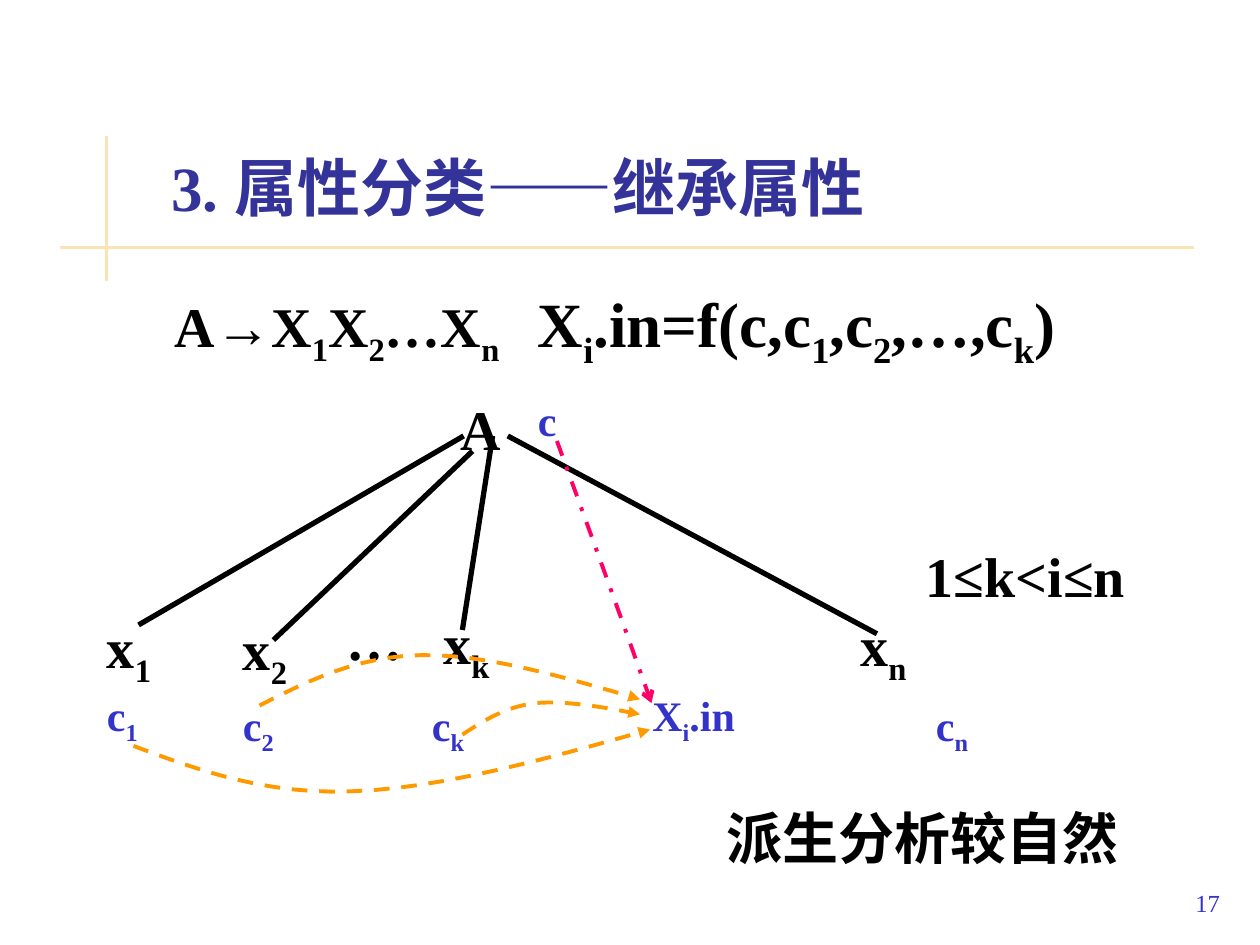
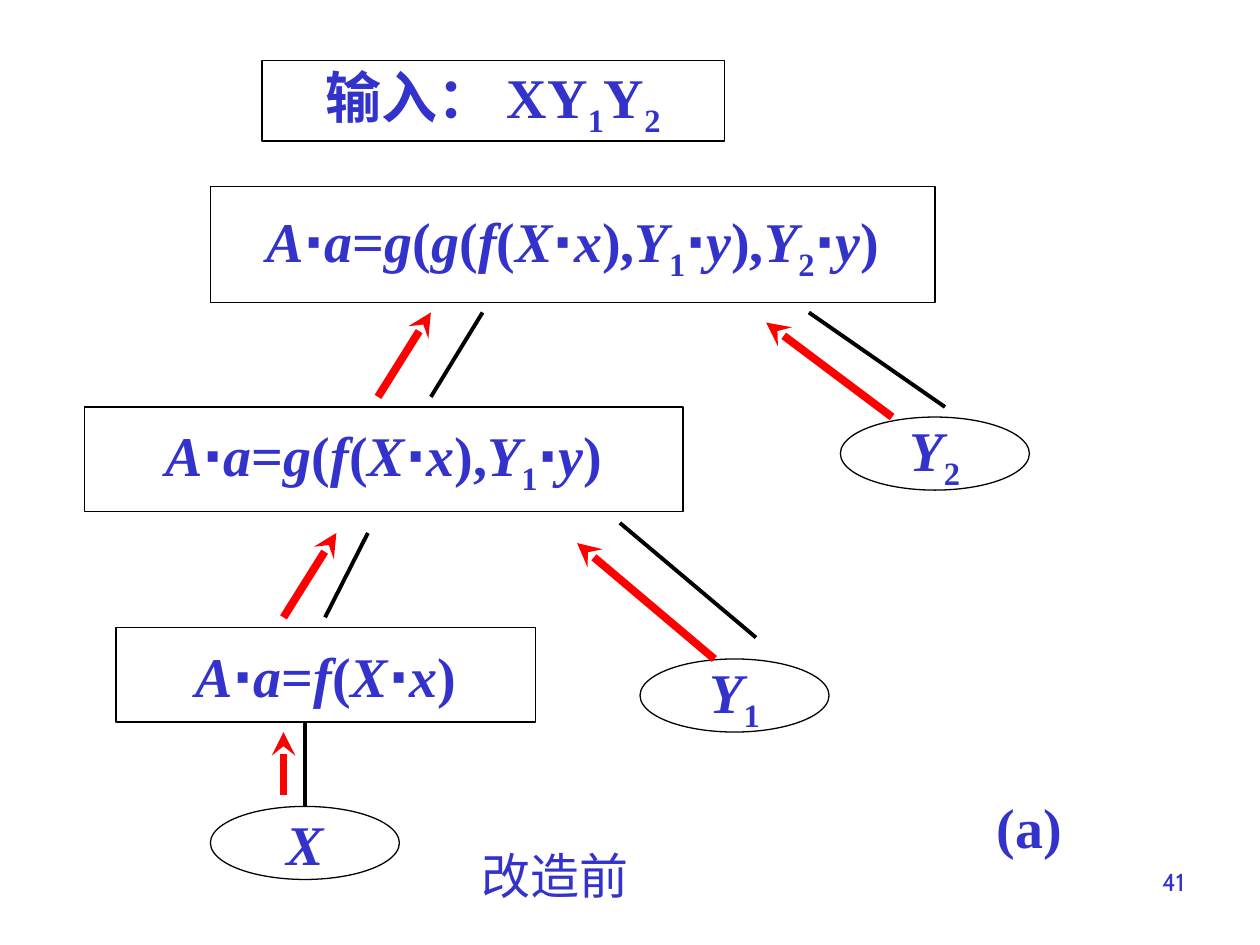
from itertools import groupby

from lxml.etree import SubElement
from pptx import Presentation
from pptx.dml.color import RGBColor
from pptx.enum.dml import MSO_LINE as Dash
from pptx.enum.shapes import MSO_CONNECTOR as Link, MSO_SHAPE as Form
from pptx.enum.text import MSO_ANCHOR as Anchor, PP_ALIGN as Align
from pptx.oxml.ns import qn
from pptx.util import Pt

PX = 9144  # 100 px to the inch
BLACK = RGBColor(0, 0, 0)
BLUE = RGBColor(0x33, 0x33, 0xCC)
NAVY = RGBColor(0x33, 0x33, 0x99)
RED = RGBColor(0xFF, 0, 0)
PINK = RGBColor(0xFF, 0, 0x66)
ORANGE = RGBColor(0xFF, 0x99, 0)
SAND = RGBColor(0xFB, 0xE4, 0xAE)
PALE = RGBColor(0xFA, 0xE3, 0xB7)
TIMES, SANS, CJK, CABIN = "Times New Roman", "Arial", "Noto Sans CJK JP", "Cabin"


def split(words, math):
    """Yield (text, is_sub, is_italic, is_dot); "_" lowers the next character."""
    marks, low = [], False
    for char in words:
        if char == "_":
            low = True
            continue
        slant = math and char.isalpha() and not low
        marks.append((char, (low, slant, char == "⋅")))
        low = False
    for kind, group in groupby(marks, key=lambda mark: mark[1]):
        yield "".join(char for char, _ in group), *kind


def curve(start, *bends):
    """Points along a chain of cubic curves, in px."""
    points, steps = [start], 12
    for one, two, end in bends:
        for step in range(1, steps + 1):
            t = step / steps
            u = 1 - t
            points.append(tuple(
                u**3 * a + 3 * u * u * t * b + 3 * u * t * t * c + t**3 * d
                for a, b, c, d in zip(start, one, two, end)))
        start = end
    return points


class Deck:
    def __init__(self):
        self.file = Presentation()
        self.file.slide_width, self.file.slide_height = 1000 * PX, 750 * PX
        self.shapes = None

    def page(self):
        self.shapes = self.file.slides.add_slide(self.file.slide_layouts[6]).shapes

    def run(self, par, words, math=False, size=None, font=None):
        for text, low, slant, dot in split(words, math):
            run = par.add_run()
            run.text = text
            if size:
                run.font.size = Pt(size)
            if slant:
                run.font.italic = True
            if dot or font:
                run.font.name = SANS if dot else font
            if low:
                run.font._element.set("baseline", "-25000")

    def fill(self, shape, words, size=32, color=BLACK, bold=True, font=TIMES,
             align=Align.LEFT, anchor=Anchor.TOP, gap=0, wrap=True, math=False):
        frame = shape.text_frame
        frame.word_wrap, frame.vertical_anchor = wrap, anchor
        par = frame.paragraphs[0]
        par.alignment, par.space_before = align, Pt(gap)
        par.font.size, par.font.bold, par.font.name = Pt(size), bold, font
        par.font.color.rgb = color
        self.run(par, words, math)
        return par

    def text(self, x, y, w, h, words, **look):
        box = self.shapes.add_textbox(x * PX, y * PX, w * PX, h * PX)
        return self.fill(box, words, **look)

    def shape(self, form, x, y, w, h):
        shape = self.shapes.add_shape(form, x * PX, y * PX, w * PX, h * PX)
        shape.shadow.inherit = False
        return shape

    def band(self, x, y, w, h):
        band = self.shape(Form.RECTANGLE, x, y, w, h)
        band.line.fill.background()
        band.fill.gradient()
        band.fill.gradient_angle = 90
        for stop, color in zip(band.fill.gradient_stops, (SAND, PALE)):
            stop.color.rgb = color

    def node(self, form, x, y, w, h, words, math=True, font=TIMES):
        node = self.shape(form, x, y, w, h)
        node.fill.background()
        node.line.color.rgb, node.line.width = BLACK, Pt(0.75)
        return self.fill(node, words, color=BLUE, align=Align.CENTER, font=font,
                         anchor=Anchor.MIDDLE, wrap=False, math=math)

    def stroke(self, shape, color, width, dash=None, head=None):
        line = shape.line
        line.color.rgb, line.width = color, Pt(width)
        if dash:
            line.dash_style = dash
        if head:
            SubElement(line._get_or_add_ln(), qn("a:tailEnd"), type=head)

    def line(self, x, y, to_x, to_y, color=BLACK, width=2.25, head=None):
        line = self.shapes.add_connector(
            Link.STRAIGHT, x * PX, y * PX, to_x * PX, to_y * PX)
        self.stroke(line, color, width, head=head)
        SubElement(line._element.spPr, qn("a:effectLst"))

    def arc(self, points, color, dash, head):
        first, *rest = [(round(x * PX), round(y * PX)) for x, y in points]
        pen = self.shapes.build_freeform(*first)
        pen.add_line_segments(rest, close=False)
        arc = pen.convert_to_shape()
        arc.shadow.inherit = False
        arc.fill.background()
        self.stroke(arc, color, 2.25, dash, head)

    def number(self, x, y, w, h, words, **look):
        self.text(x, y, w, h, words, size=14, color=BLUE, bold=False,
                  align=Align.RIGHT, **look)


def inherited(deck):
    deck.page()
    # Title and bands
    deck.band(83, 108, 3, 115)
    deck.band(48, 195, 900, 3)
    deck.text(126, 23, 852, 160, "3. 属性分类——继承属性", size=36, color=NAVY,
              anchor=Anchor.BOTTOM)
    deck.number(770, 683, 208, 50, "17", anchor=Anchor.BOTTOM)

    # Rule and its function
    rule = deck.text(129, 221, 850, 83, "A→X_1X_2…X_n\t", gap=9)
    props = rule._p.get_or_add_pPr()
    props.set("marL", str(38 * PX))
    props.set("indent", str(-38 * PX))
    deck.run(rule, "X_i.in=f(c,c_1,c_2,…,c_k)", size=36)

    # Tree
    for x, y, w, words in (
            (356, 308, 82, "A"), (75, 481, 94, "x_1"), (183, 483, 94, "x_2"),
            (673, 480, 94, "x_n"), (342, 478, 94, "x_k"), (265, 475, 94, "…"),
            (725, 425, 250, "1≤k<i≤n"), (567, 633, 350, "派生分析较自然")):
        deck.text(x, y, w, 64, words, gap=20)
    for ends in ((368, 346, 110, 496), (375, 358, 217, 508),
                 (391, 346, 367, 500), (403, 346, 696, 503)):
        deck.line(*ends, width=3)

    # Flow of attributes
    for points in (
            curve((367, 583), ((384, 572), (401, 561), (425, 558)),
                  ((449, 556), (478, 561), (508, 567))),
            curve((206, 560), ((245, 540), (284, 521), (334, 520)),
                  ((385, 519), (446, 537), (508, 555))),
            curve((106, 592), ((159, 612), (212, 631), (280, 628)),
                  ((348, 626), (432, 603), (516, 579)))):
        deck.arc(points, ORANGE, Dash.DASH, "triangle")
    deck.arc(curve((442, 350), ((473, 435), (504, 521), (517, 558))),
             PINK, Dash.DASH_DOT, "arrow")
    for x, y, w, words in (
            (508, 542, 100, "X_i.in"), (75, 542, 67, "c_1"), (183, 550, 67, "c_2"),
            (333, 550, 67, "c_k"), (733, 550, 67, "c_n"), (417, 308, 58, "c")):
        deck.text(x, y, w, 56, words, size=24, color=BLUE, gap=15)


def before(deck):
    deck.page()
    deck.number(717, 683, 233, 52, "41", font=CABIN)

    # Input and formulas
    entry = deck.node(Form.RECTANGLE, 208, 48, 367, 64, "输入： ", False, CJK)
    deck.run(entry, "XY_1Y_2", font=TIMES)
    for x, y, w, h, words in (
            (167, 148, 575, 92, "A⋅a=g(g(f(X⋅x),Y_1⋅y),Y_2⋅y)"),
            (67, 323, 475, 83, "A⋅a=g(f(X⋅x),Y_1⋅y)"),
            (92, 498, 333, 75, "A⋅a=f(X⋅x)")):
        deck.node(Form.RECTANGLE, x, y, w, h, words)

    # Leaves
    for x, y, words in ((667, 331, "Y_2"), (508, 523, "Y_1"), (167, 640, "X")):
        deck.node(Form.OVAL, x, y, 150, 58, words)

    # Edges and upward arrows
    for ends in ((242, 640, 242, 573), (258, 490, 292, 423), (342, 315, 383, 248),
                 (750, 323, 642, 248), (492, 415, 600, 506)):
        deck.line(*ends)
    for ends in ((225, 631, 225, 581), (708, 331, 608, 256), (300, 315, 342, 248),
                 (567, 523, 458, 431), (225, 490, 267, 423)):
        deck.line(*ends, color=RED, width=4.5, head="stealth")

    # Captions
    deck.text(781, 624, 72, 64, "(a)", color=BLUE, align=Align.CENTER,
              anchor=Anchor.MIDDLE, gap=20, wrap=False)
    deck.text(358, 666, 165, 57, "改造前", size=28, color=BLUE, bold=False,
              font=CJK, align=Align.CENTER)


def main():
    deck = Deck()
    inherited(deck)
    before(deck)
    deck.file.save("out.pptx")


if __name__ == "__main__":
    main()
